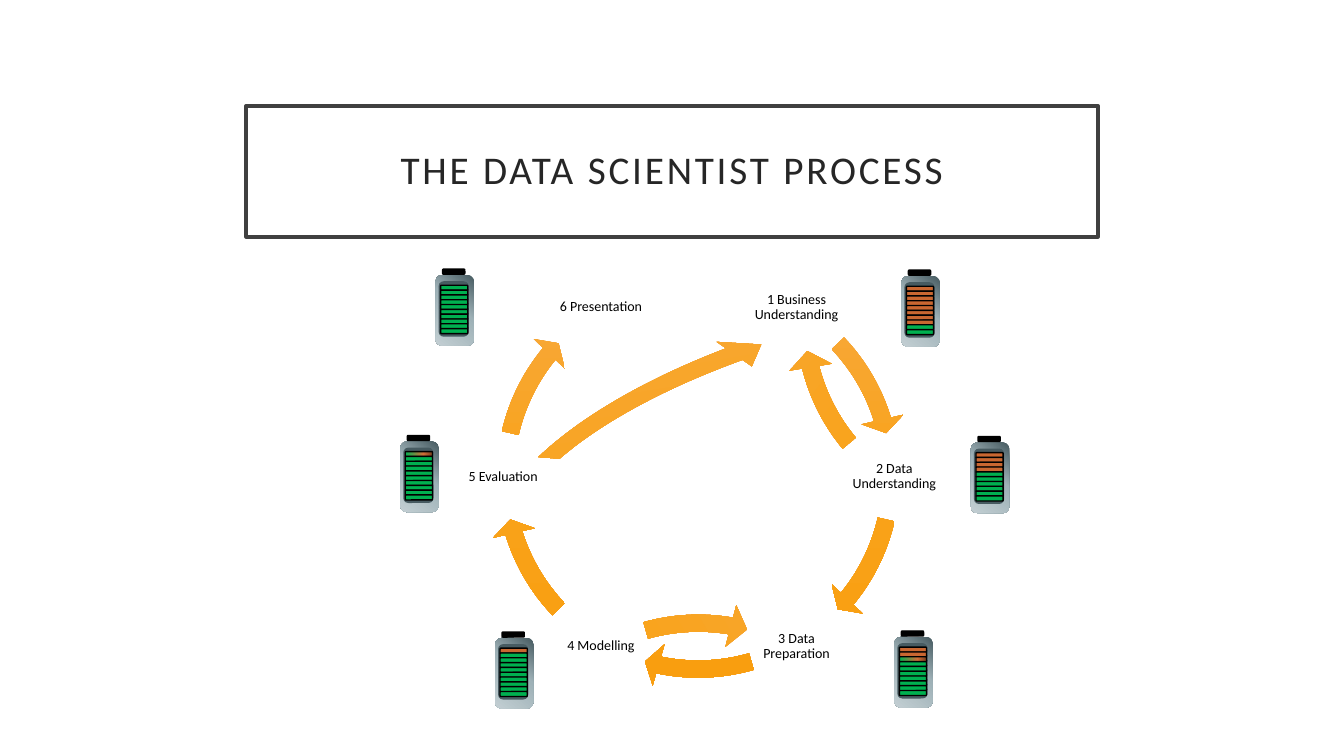
from dataclasses import dataclass
from math import cos, radians, sin

from lxml import etree
from pptx import Presentation
from pptx.dml.color import RGBColor
from pptx.enum.shapes import MSO_SHAPE
from pptx.enum.text import MSO_ANCHOR, PP_ALIGN
from pptx.oxml.ns import qn
from pptx.util import Inches, Pt


@dataclass(frozen=True)
class Theme:
    """Colours, gradients and type sizes of the slide."""
    font: str = "Calibri"
    title_size: float = 28
    label_size: float = 10
    paper: str = "FFFFFF"
    frame: str = "404040"
    title: str = "262626"
    black: str = "000000"
    panel: str = "475B61"
    full: str = "00B050"
    empty: str = "C96731"
    arrow: tuple = (90, ((0, "F7A942"), (50, "F9A31A"), (100, "F99E0F")))
    case: tuple = (130, ((0, "475B61"), (44, "9EB1B7"), (100, "C3CFD3")))
    partial: tuple = (0, ((0, "00B050"), (67, "CF6E38"), (100, "793E1D")))


STAGES = ["1 Business Understanding", "2 Data Understanding", "3 Data Preparation",
          "4 Modelling", "5 Evaluation", "6 Presentation"]
RING_CENTER = (6.93, 4.73)
RING_RADIUS = 1.94
LABEL_SIZE = 0.87
RING_BOX = (4.8, 2.6, 4.25, 4.25)
RING_ARCS = [(316.39, 342.88), (12.95, 39.44), (73.98, 101.85),
             (136.39, 162.88), (192.95, 219.44)]
RETURN_ARC = (193.9, 219.44)
RETURN_ARROWS = [((7.77, 1.05, 4.25, 4.25), 306.4),
                 ((4.8, 5.97, 4.25, 4.25), 60.3),
                 ((4.62, 2.74, 10.02, 4.25), 350.5)]
BATTERIES = [(8.94, 2.74, "E" * 8 + "F" * 2), (9.63, 4.39, "E" * 4 + "F" * 6),
             (8.87, 6.32, "EEP" + "F" * 7), (4.91, 6.33, "E" + "F" * 9),
             (3.97, 4.38, "P" + "F" * 9), (4.32, 2.73, "F" * 10)]


def write_text(shape, text, *, font, size, color, inset, spacing=None):
    """Fill a shape with one centred, formatted paragraph."""
    frame = shape.text_frame
    frame.word_wrap = True
    frame.vertical_anchor = MSO_ANCHOR.MIDDLE
    frame.margin_left = frame.margin_right = Inches(inset)
    frame.margin_top = frame.margin_bottom = Inches(inset)
    para = frame.paragraphs[0]
    para.alignment = PP_ALIGN.CENTER
    para.line_spacing = 0.9
    span = para.add_run()
    span.text = text
    span.font.name = font
    span.font.size = Pt(size)
    span.font.color.rgb = RGBColor.from_string(color)
    if spacing:
        span.font._element.set("spc", str(spacing * 100))


class ProcessSlide:
    """Draws the elements of the process on one page."""

    def __init__(self, page, theme):
        """Keep the page and its theme."""
        self.page = page
        self.theme = theme

    def shape(self, kind, bounds, fill, line=None, width=1):
        """Add a preset shape with a plain or gradient fill."""
        shape = self.page.shapes.add_shape(kind, *map(Inches, bounds))
        shape.shadow.inherit = False
        if isinstance(fill, tuple):
            self.gradient(shape, *fill)
        else:
            shape.fill.solid()
            shape.fill.fore_color.rgb = RGBColor.from_string(fill)
        if line:
            shape.line.color.rgb = RGBColor.from_string(line)
            shape.line.width = Pt(width)
        else:
            shape.line.fill.background()
        return shape

    def gradient(self, shape, angle, stops):
        """Give a shape a linear gradient, its angle measured clockwise."""
        shape.fill.gradient()
        gradient = shape._element.spPr.find(qn("a:gradFill"))
        for child in list(gradient):
            gradient.remove(child)
        stop_list = etree.SubElement(gradient, qn("a:gsLst"))
        for position, color in stops:
            stop = etree.SubElement(stop_list, qn("a:gs"), pos=str(position * 1000))
            etree.SubElement(stop, qn("a:srgbClr"), val=color)
        etree.SubElement(gradient, qn("a:lin"), ang=str(angle * 60000), scaled="0")

    def title(self, text):
        """Add the framed title."""
        box = self.shape(MSO_SHAPE.RECTANGLE, (2.44, 1.05, 8.45, 1.3),
                         self.theme.paper, self.theme.frame, 2.5)
        write_text(box, text, font=self.theme.font, size=self.theme.title_size,
                   color=self.theme.title, inset=0.2, spacing=2)

    def stage(self, index, text):
        """Add a stage label at its corner of the hexagon."""
        angle = radians(60 * index - 60)
        left = RING_CENTER[0] + RING_RADIUS * cos(angle) - LABEL_SIZE / 2
        top = RING_CENTER[1] + RING_RADIUS * sin(angle) - LABEL_SIZE / 2
        box = self.page.shapes.add_textbox(
            *map(Inches, (left, top, LABEL_SIZE, LABEL_SIZE)))
        write_text(box, text, font=self.theme.font, size=self.theme.label_size,
                   color=self.theme.black, inset=0.01)

    def arrow(self, bounds, arc, head, rotation=0):
        """Add a curved arrow over an arc given in degrees."""
        arrow = self.shape(MSO_SHAPE.CIRCULAR_ARROW, bounds, self.theme.arrow)
        arrow.rotation = rotation
        start, end = arc
        values = (0.04, head * 0.6, end * 0.6, start * 0.6, 0.05)
        for index, value in enumerate(values):
            arrow.adjustments[index] = value

    def battery(self, left, top, charge):
        """Add a battery whose cells follow the charge letters from the top."""
        theme = self.theme
        cells = {"E": theme.empty, "F": theme.full, "P": theme.partial}
        rounded = MSO_SHAPE.ROUNDED_RECTANGLE
        self.shape(rounded, (left, top, 0.38, 0.7), theme.case)
        self.shape(rounded, (left + 0.03, top + 0.06, 0.3, 0.55), theme.panel)
        self.shape(rounded, (left + 0.07, top - 0.06, 0.22, 0.05),
                   theme.black, theme.black)
        pitch = 0.43 / (len(charge) - 1)
        for row, letter in enumerate(charge):
            self.shape(rounded, (left + 0.05, top + 0.1 + row * pitch, 0.27, 0.05),
                       cells[letter], theme.black)


def main():
    """Build and save the slide."""
    deck = Presentation()
    deck.slide_width, deck.slide_height = Inches(13.33), Inches(7.5)
    page = deck.slides.add_slide(deck.slide_layouts[6])
    process = ProcessSlide(page, Theme())
    process.title("THE DATA SCIENTIST PROCESS")
    for bounds, rotation in RETURN_ARROWS:
        process.arrow(bounds, RETURN_ARC, 4.9, rotation)
    for arc in RING_ARCS:
        process.arrow(RING_BOX, arc, 4.17)
    for index, text in enumerate(STAGES):
        process.stage(index, text)
    for left, top, charge in BATTERIES:
        process.battery(left, top, charge)
    deck.save("out.pptx")


if __name__ == "__main__":
    main()
